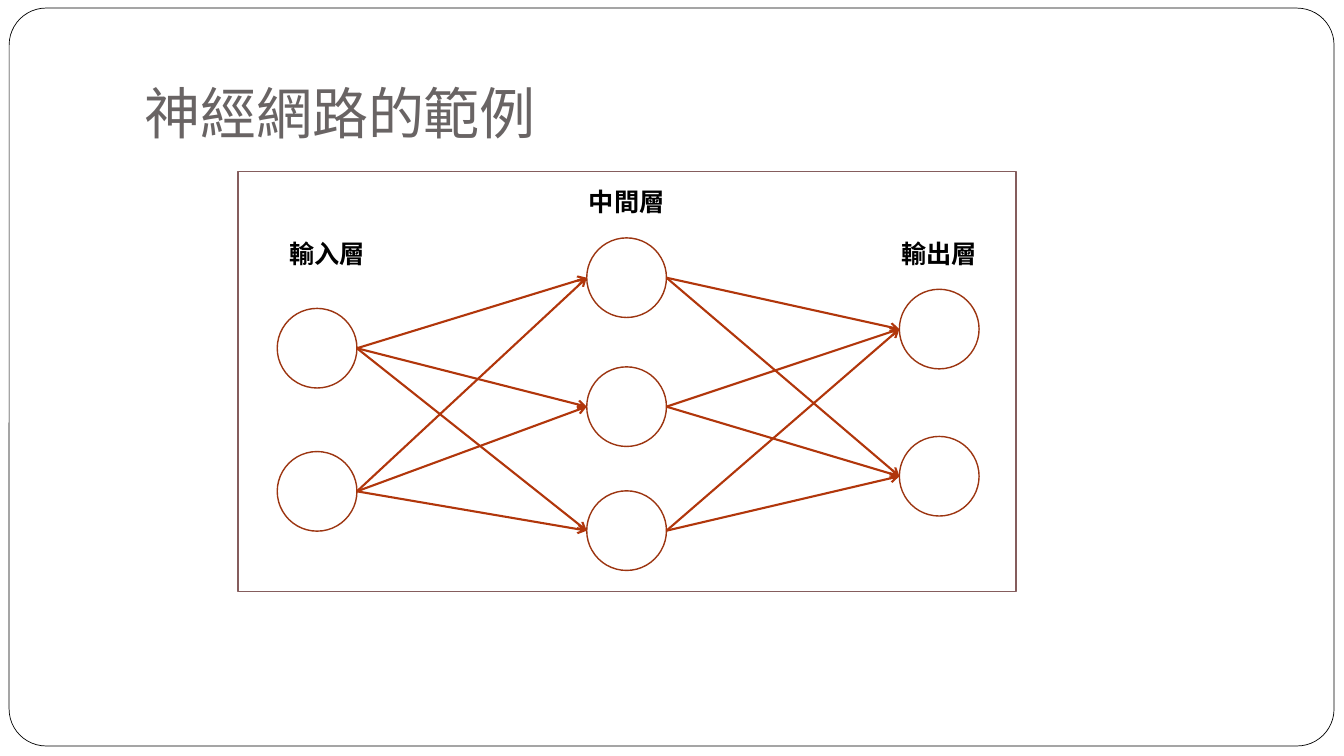
import itertools

import pptx
import pptx.util
import pptx.dml.color
import pptx.enum.shapes
import pptx.enum.text
import pptx.oxml
import pptx.oxml.ns

WIDE, HIGH = 13.33, 7.5
COLORS = {"paper": "FFFFFF", "edge": "000000", "box": "855D5D", "node": "9C3511",
          "link": "B1360B", "title": "696464", "label": "000000"}
KIND = pptx.enum.shapes.MSO_SHAPE
ALIGN = pptx.enum.text.PP_ALIGN
ANCHOR = pptx.enum.text.MSO_ANCHOR
NODE = (5.93, 10.53)
LABEL = (8.03, 5.33)
LAYERS = [
    {"text": "輸入層", "spot": (20.33, 30.93), "left": 20.63, "tops": (40.8, 59.73)},
    {"text": "中間層", "spot": (42.61, 24), "left": 43.66, "tops": (31.47, 48.53, 64.93)},
    {"text": "輸出層", "spot": (65.87, 30.93), "left": 66.92, "tops": (38.27, 57.73)},
]


def across(share):
    return pptx.util.Inches(WIDE * share / 100)


def down(share):
    return pptx.util.Inches(HIGH * share / 100)


def area(left, top, width, height):
    return across(left), down(top), across(width), down(height)


def color(name):
    return pptx.dml.color.RGBColor.from_string(COLORS[name])


def assign(item, values):
    for name, value in values.items():
        setattr(item, name, value)


def stroke(item, name, points):
    item.line.color.rgb = color(name)
    item.line.width = pptx.util.Pt(points)


def write(frame, text, tone, align, look):
    para = frame.paragraphs[0]
    para.alignment = align
    run = para.add_run()
    run.text = text
    assign(run.font, look)
    run.font.color.rgb = color(tone)


def add_form(slide, kind, spot, tone, points, filled=True):
    form = slide.shapes.add_shape(kind, *area(*spot))
    form.shadow.inherit = False
    if filled:
        form.fill.solid()
        form.fill.fore_color.rgb = color("paper")
    else:
        form.fill.background()
    stroke(form, tone, points)
    return form


def add_title(slide, text):
    title = slide.shapes.title
    left, top, width, height = area(9.98, 4, 85, 16.67)
    assign(title, {"left": left, "top": top, "width": width, "height": height})
    inch = pptx.util.Inches
    assign(title.text_frame, {
        "vertical_anchor": ANCHOR.BOTTOM, "word_wrap": True,
        "margin_left": inch(0.1), "margin_right": inch(0.1),
        "margin_top": inch(0.05), "margin_bottom": inch(0.1)})
    write(title.text_frame, text, "title", ALIGN.LEFT,
          {"name": "Roboto", "size": pptx.util.Pt(40)})


def add_label(slide, text, spot):
    label = slide.shapes.add_textbox(*area(*spot, *LABEL))
    label.text_frame.word_wrap = True
    write(label.text_frame, text, "label", ALIGN.CENTER,
          {"name": "Times New Roman", "size": pptx.util.Pt(18), "bold": True})


def add_link(slide, start, end):
    link = slide.shapes.add_connector(
        pptx.enum.shapes.MSO_CONNECTOR.STRAIGHT,
        across(start[0]), down(start[1]), across(end[0]), down(end[1]))
    stroke(link, "link", 1.5)
    ns = pptx.oxml.ns.nsdecls("a")
    link.line._get_or_add_ln().append(
        pptx.oxml.parse_xml(f'<a:tailEnd {ns} type="arrow"/>'))
    link._element.spPr.append(pptx.oxml.parse_xml(f"<a:effectLst {ns}/>"))


def join_layers(slide, first, second):
    half = NODE[1] / 2
    for start, end in itertools.product(first["tops"], second["tops"]):
        add_link(slide, (first["left"] + NODE[0], start + half),
                 (second["left"], end + half))


def main():
    deck = pptx.Presentation()
    deck.slide_width, deck.slide_height = across(100), down(100)
    slide = deck.slides.add_slide(deck.slide_layouts[5])
    edge = add_form(slide, KIND.ROUNDED_RECTANGLE,
                    (0.68, 1.07, 98.58, 97.6), "edge", 0.5)
    edge.adjustments[0] = 0.05
    slide.shapes._spTree.insert(2, edge._element)
    add_title(slide, "神經網路的範例")
    add_form(slide, KIND.RECTANGLE, (17.7, 22.67, 57.91, 55.6), "box", 1)
    for layer in LAYERS:
        add_label(slide, layer["text"], layer["spot"])
        for top in layer["tops"]:
            add_form(slide, KIND.OVAL, (layer["left"], top, *NODE), "node", 1, False)
    for first, second in itertools.pairwise(LAYERS):
        join_layers(slide, first, second)
    deck.save("out.pptx")


if __name__ == "__main__":
    main()
